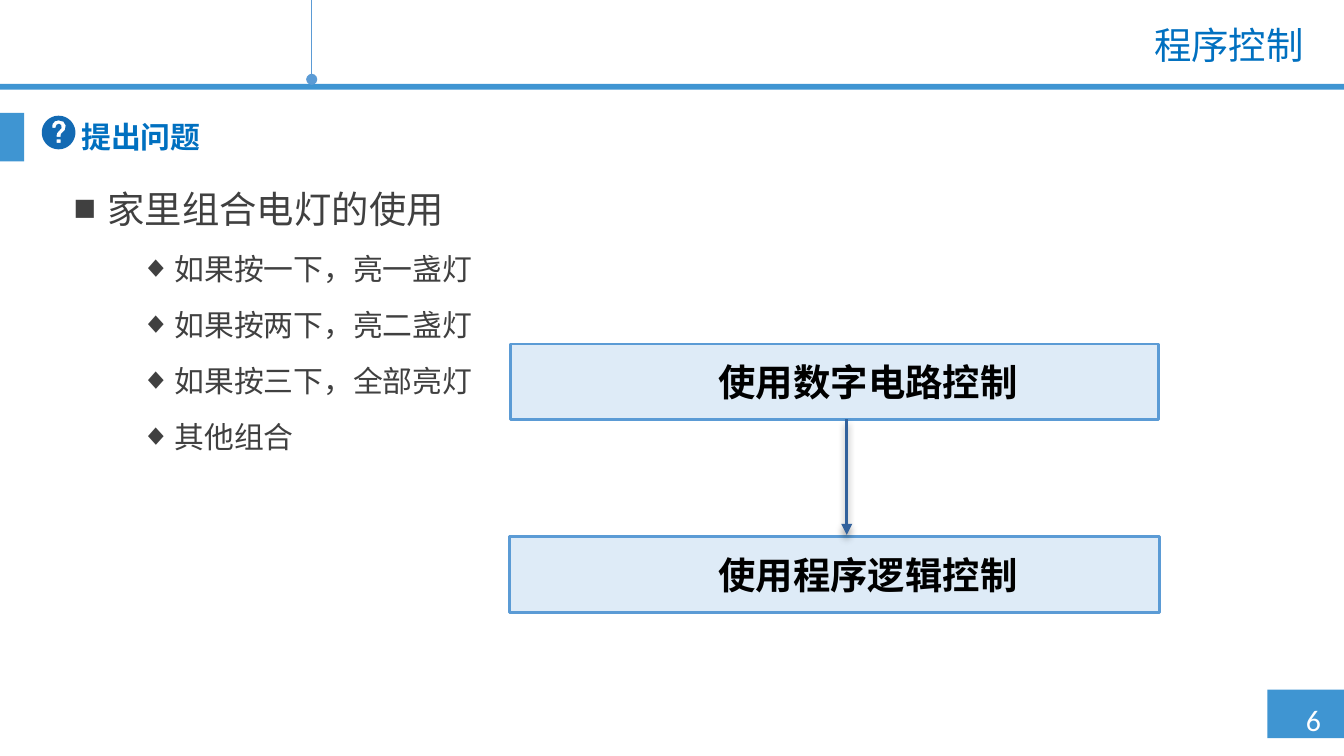
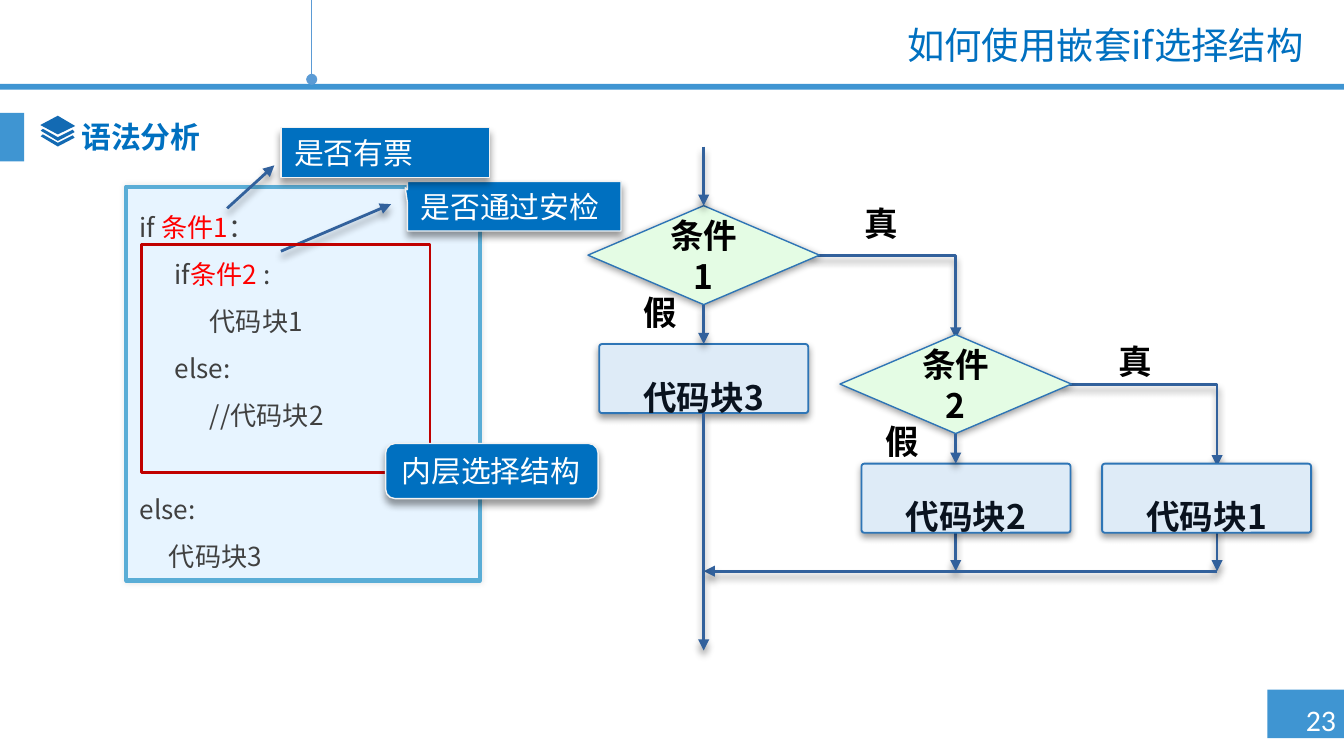
from math import cos, pi, sin

from lxml.etree import SubElement
from pptx import Presentation
from pptx.dml.color import RGBColor
from pptx.enum.shapes import MSO_CONNECTOR, MSO_SHAPE
from pptx.enum.text import MSO_ANCHOR, PP_ALIGN
from pptx.oxml.ns import qn
from pptx.util import Pt

HUES = {
    "band": "3F95D2", "pin": "5B9BD5", "title": "0070C0", "icon": "136AB3",
    "body": "404040", "pale": "DEEBF7", "black": "000000", "white": "FFFFFF",
    "arrow": "32619C", "edge": "2E75B6", "mint": "E4FCE4", "ink": "0A131F",
    "code": "E7F4FF", "frame": "5AADD6", "red": "FF0000", "dark": "C00000",
    "rim": "F2F2F2",
}
NOTO = "Noto Sans CJK SC"
CAST = (40, 4, 3)
MID = {"alignment": PP_ALIGN.CENTER}
CODE = {"line_spacing": Pt(25.2)}
FLOW_X, INNER_X, OUTER_X, JOIN_Y = 377, 512, 652, 306


def hue(name):
    """Return the colour with this name."""
    return RGBColor.from_string(HUES[name])


def apply(item, vals):
    """Set each value of a dict as an attribute."""
    for key, val in vals.items():
        setattr(item, key, val)


def shade(item, cast=None):
    """Replace the theme shadow by none, or by (alpha, blur, distance)."""
    props = item.element.spPr
    for old in props.findall(qn("a:effectLst")):
        props.remove(old)
    group = SubElement(props, qn("a:effectLst"))
    if cast:
        alpha, blur, dist = cast
        glow = SubElement(group, qn("a:outerShdw"), blurRad=str(Pt(blur)),
                          dist=str(Pt(dist)), dir="5400000", rotWithShape="0")
        tone = SubElement(glow, qn("a:srgbClr"), val=HUES["black"])
        SubElement(tone, qn("a:alpha"), val=str(alpha * 1000))


def stroke(item, name, width, end=None):
    """Set the line of a shape or connector and its far end."""
    item.line.color.rgb = hue(name)
    item.line.width = Pt(width)
    if end:
        SubElement(item.element.spPr.find(qn("a:ln")), qn("a:tailEnd"), type=end)


def paint(item, fill=None, edge=None, width=1.5, end=None, cast=None):
    """Set fill, line and shadow of a shape."""
    if fill:
        item.fill.solid()
        item.fill.fore_color.rgb = hue(fill)
    else:
        item.fill.background()
    if edge:
        stroke(item, edge, width, end)
    else:
        item.line.fill.background()
    shade(item, cast)
    return item


def shape(slide, kind, place, adj=(), **look):
    """Add a preset shape."""
    item = slide.shapes.add_shape(kind, *map(Pt, place))
    for num, val in enumerate(adj):
        item.adjustments[num] = val
    return paint(item, **look)


def trace(slide, rings, close=True, **look):
    """Add a free outline made of one or more rings of points."""
    rings = [[(Pt(x), Pt(y)) for x, y in ring] for ring in rings]
    pen = slide.shapes.build_freeform(*rings[0][0], scale=1.0)
    for num, ring in enumerate(rings):
        if num:
            pen.move_to(*ring[0])
        pen.add_line_segments(ring[1:], close=close)
    return paint(pen.convert_to_shape(), **look)


def link(slide, start, stop, head=None, foot=None, name="arrow", width=1.5,
         end="triangle", cast=CAST):
    """Add a straight line, joined to (shape, site) at head and foot."""
    item = slide.shapes.add_connector(MSO_CONNECTOR.STRAIGHT, *map(Pt, start + stop))
    if head:
        item.begin_connect(*head)
    if foot:
        item.end_connect(*foot)
    stroke(item, name, width, end)
    shade(item, cast)


def write(item, parts, size, tone, font=NOTO, bold=False, form=None,
          bullet=None, left=0, hang=0):
    """Add one paragraph of (text, colour) parts to a shape."""
    frame = item.text_frame
    row = frame.paragraphs[-1]
    if row.runs:
        row = frame.add_paragraph()
    apply(row, {"alignment": PP_ALIGN.LEFT, **(form or {})})
    props = row._p.get_or_add_pPr()
    props.set("marL", str(Pt(left)))
    props.set("indent", str(-Pt(hang)))
    if bullet:
        SubElement(props, qn("a:buFont"), typeface="Arial")
        SubElement(props, qn("a:buChar"), char=bullet)
    for text, name in [(parts, tone)] if isinstance(parts, str) else parts:
        run = row.add_run()
        run.text = text
        apply(run.font, {"size": Pt(size), "bold": bold, "name": font})
        run.font.color.rgb = hue(name)
        SubElement(run._r.get_or_add_rPr(), qn("a:ea"), typeface=NOTO)


def setup(item, anchor=MSO_ANCHOR.MIDDLE, wrap=True, side=7.2):
    """Set anchor, wrap and side margins of the text in a shape."""
    apply(item.text_frame, {"vertical_anchor": anchor, "word_wrap": wrap,
                            "margin_left": Pt(side), "margin_right": Pt(side)})
    return item


def label(slide, place, text, size, tone, anchor=MSO_ANCHOR.MIDDLE, wrap=True, **look):
    """Add a text box with one paragraph."""
    item = setup(slide.shapes.add_textbox(*map(Pt, place)), anchor, wrap)
    write(item, text, size, tone, **look)
    return item


def base(deck, title, topic, page):
    """Add a slide with title, topic, bands and page number."""
    slide = deck.slides.add_slide(deck.slide_layouts[6])
    for place in ((679, 369.5, 41, 26), (0, 45, 720, 3), (0, 60.5, 13, 26)):
        shape(slide, MSO_SHAPE.RECTANGLE, place, fill="band")
    link(slide, (167, 0), (167, 42.5), name="pin", width=0.75, end="oval", cast=None)
    label(slide, (692.5, 372, 37.5, 27), page, 16, "white", font="Calibri")
    label(slide, (173, 11, 532.5, 29), title, 20, "title",
          form={"alignment": PP_ALIGN.RIGHT, "line_spacing": 0.9})
    label(slide, (36.5, 60.5, 590, 28), topic, 16, "title", bold=True,
          form={"line_spacing": 0.9})
    return slide


def query(slide):
    """Draw the round question icon."""
    disc = [(31.4 + 9 * cos(k * pi / 24), 71 + 9 * sin(k * pi / 24)) for k in range(48)]
    hook = [(28, 68.5), (28.2, 66.4), (29.5, 64.9), (31.5, 64.5), (34, 65.2),
            (35.2, 67.2), (34.8, 69.6), (32.6, 71.8), (32.5, 73.4), (30.3, 73.4),
            (30.5, 71.4), (33, 68.6), (32.8, 67), (31.6, 66.3), (30.3, 66.9),
            (29.7, 68.5)]
    dot = [(30.3, 74.7), (32.5, 74.7), (32.5, 76.5), (30.3, 76.5)]
    trace(slide, [disc, hook, dot], fill="icon")


def stack(slide):
    """Draw the icon of three layers."""
    fold = [(21.8, 70), (23, 69), (31, 73.5), (39, 69.5), (40, 70.8), (31, 75.5)]
    for drop in (0, 3):
        trace(slide, [[(x, y + drop) for x, y in fold]], fill="icon")
    trace(slide, [[(21.6, 67), (31, 62), (40.3, 67.5), (31, 72)]], fill="icon")


def choice(slide, mid, top, text):
    """Add a decision diamond."""
    item = shape(slide, MSO_SHAPE.DIAMOND, (mid - 62, top, 124, 53), fill="mint",
                 edge="edge", width=0.75, cast=(40, 4, 1))
    write(setup(item, side=8), text, 18, "black", bold=True,
          form={**MID, "line_spacing": Pt(22)})
    return item


def block(slide, left, top, text):
    """Add a code block of the flow."""
    item = shape(slide, MSO_SHAPE.ROUNDED_RECTANGLE, (left, top, 112, 37), (0.04,),
                 fill="pale", edge="edge", width=1, cast=(40, 4, 2))
    write(setup(item, MSO_ANCHOR.TOP), text, 18, "ink", bold=True,
          form={**MID, "line_spacing": Pt(35)})
    return item


def tag(slide, kind, place, adj, text):
    """Add a blue note."""
    item = shape(slide, kind, place, adj, fill="title", edge="rim", width=0.75, cast=CAST)
    write(setup(item), text, 16, "white")


def lamps(deck):
    """Build the slide on program control."""
    slide = base(deck, "程序控制", "提出问题", "6")
    query(slide)
    list_box = label(slide, (32.4, 95, 657.5, 247), "家里组合电灯的使用", 20, "body",
                     MSO_ANCHOR.TOP, bullet="■", left=18, hang=18,
                     form={"line_spacing": Pt(25)})
    for text in ("如果按一下，亮一盏灯", "如果按两下，亮二盏灯",
                 "如果按三下，全部亮灯", "其他组合"):
        write(list_box, text, 16, "body", bullet="◆", left=54, hang=18,
              form={"line_spacing": Pt(25), "space_before": Pt(5), "level": 1})
    for place, text in (((273.6, 184.3, 347, 40.3), "使用数字电路控制"),
                        ((272.8, 287.3, 348.5, 41), "使用程序逻辑控制")):
        item = shape(slide, MSO_SHAPE.ROUNDED_RECTANGLE, place, (0,),
                     fill="pale", edge="pin")
        write(setup(item), text, 20, "black", font="Arial", bold=True,
              form=MID, left=58.5, hang=22.5)
    link(slide, (453.6, 224.6), (453.6, 286.6))


def syntax(slide):
    """Add the code panel with its notes."""
    panel = setup(shape(slide, MSO_SHAPE.ROUNDED_RECTANGLE, (67.7, 100, 189.4, 211),
                        (0,), fill="code", edge="frame", width=2.25, cast=(10, 3, 0)))
    rows = ([("if ", "body"), ("条件1", "red"), ("：", "body")],
            [("      if", "body"), ("条件2", "red"), (" :", "body")],
            "            代码块1", "      else:", "            //代码块2")
    for row in rows:
        write(panel, row, 14, "body", form=CODE)
    write(panel, "else:", 14, "body", form={**CODE, "space_before": Pt(25.2)})
    write(panel, "     代码块3", 14, "body", form=CODE)
    note = MSO_SHAPE.RECTANGULAR_CALLOUT
    tag(slide, note, (218.2, 97.2, 114.5, 26.6), (-0.51, -0.37), "是否通过安检")
    tag(slide, note, (150.5, 68.4, 111.6, 26.6), (-0.5, 0.03), "是否有票")
    link(slide, (121.7, 111.6), (147, 88.6))
    link(slide, (150.5, 134.6), (209.5, 109.4))
    shape(slide, MSO_SHAPE.RECTANGLE, (75.6, 131, 154.8, 122.4), edge="dark")
    tag(slide, MSO_SHAPE.ROUNDED_RECTANGLE, (206.6, 237.6, 113.8, 29.5), (0.17,),
        "内层选择结构")


def flow(slide):
    """Add the flow chart of the nested choice."""
    for left, top, text in ((337.7, 152.6, "假"), (455.8, 105, "真"),
                            (467.3, 221.8, "假"), (591.8, 179.3, "真")):
        label(slide, (left, top, 32.4, 28.8), text, 18, "black", bold=True,
              wrap=False, form=MID)
    for mid in (INNER_X, OUTER_X):
        link(slide, (mid, 280), (mid, JOIN_Y))
    link(slide, (OUTER_X, JOIN_Y), (FLOW_X, JOIN_Y))
    for left, top, right, foot in ((433.4, 136.8, INNER_X, 181.4),
                                   (568, 205.9, OUTER_X, 249.8)):
        trace(slide, [[(left, top), (right, top), (right, foot)]], close=False,
              edge="arrow", end="triangle", cast=CAST)
    outer = choice(slide, FLOW_X, 110.2, "条件1")
    inner = choice(slide, INNER_X, 179.3, "条件2")
    third = block(slide, 321, 184.3, "代码块3")
    block(slide, 461.5, 248.4, "代码块2")
    block(slide, 590.4, 248.4, "代码块1")
    link(slide, (FLOW_X, 78.5), (FLOW_X, 110.2), foot=(outer, 0))
    link(slide, (FLOW_X, 163.2), (FLOW_X, 184.3), (outer, 2), (third, 0))
    link(slide, (FLOW_X, 221.3), (FLOW_X, 348.5), (third, 2))
    link(slide, (INNER_X, 232.3), (INNER_X, 248.4), (inner, 2))


def main():
    """Build and save the deck."""
    deck = Presentation()
    apply(deck, {"slide_width": Pt(720), "slide_height": Pt(405)})
    lamps(deck)
    slide = base(deck, "如何使用嵌套if选择结构", "语法分析", "23")
    stack(slide)
    flow(slide)
    syntax(slide)
    deck.save("out.pptx")


if __name__ == "__main__":
    main()
